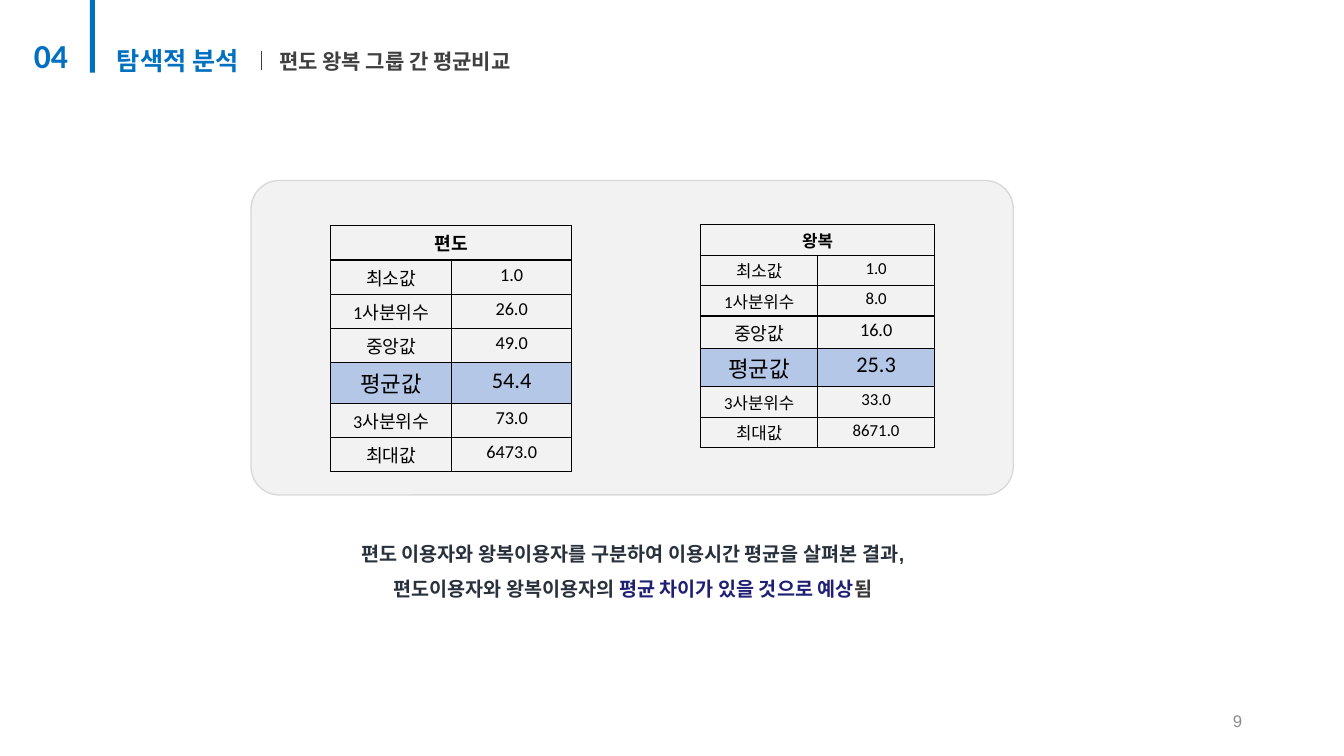
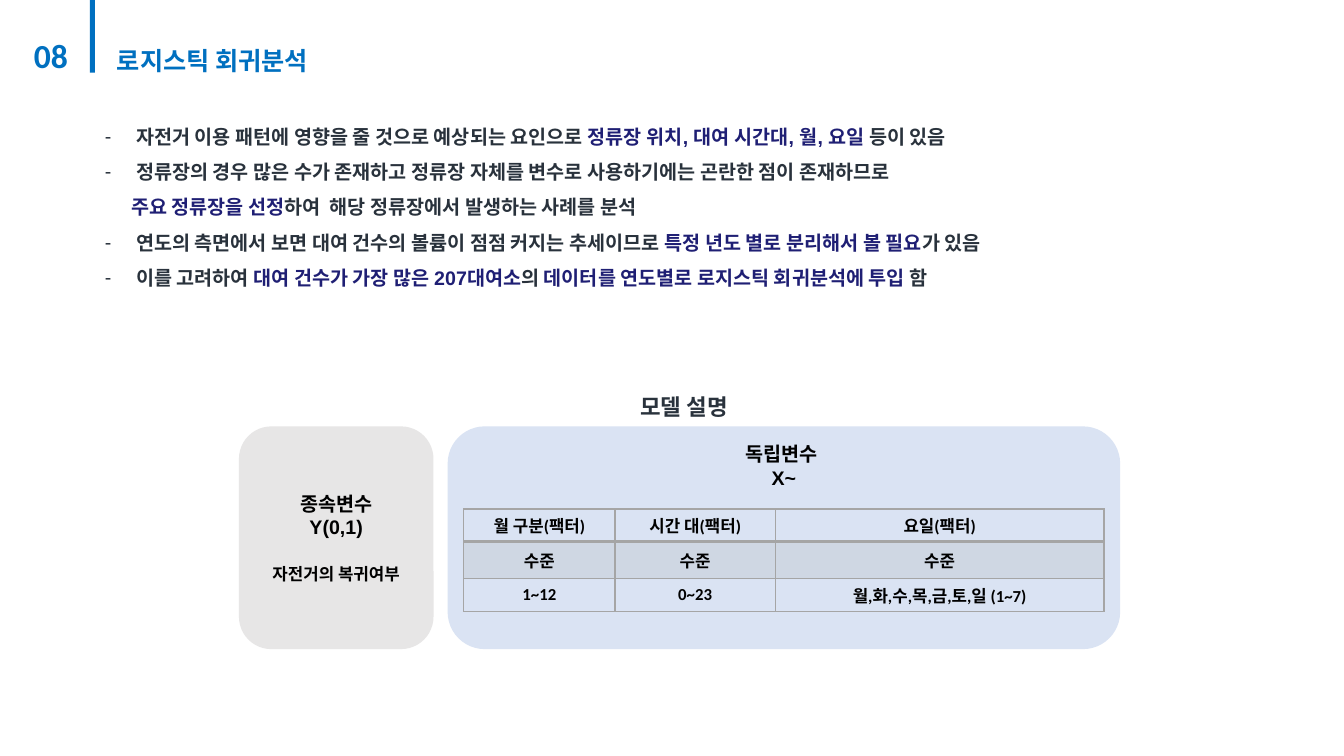
"""Build two slides of a bike rental analysis."""
import dataclasses
import lxml.etree
import pptx
import pptx.dml.color
import pptx.enum.shapes
import pptx.enum.text
import pptx.oxml.ns
import pptx.util

PX = 9144
ALIGN = pptx.enum.text.PP_ALIGN
ANCHOR = pptx.enum.text.MSO_ANCHOR
SHAPE = pptx.enum.shapes.MSO_SHAPE
MID = {"alignment": ALIGN.CENTER}
AIRY = {"line_spacing": 1.5, "space_before": pptx.util.Pt(0)}


@dataclasses.dataclass(frozen=True)
class Theme:
    blue: str = "0070C0"
    ink: str = "29323C"
    navy: str = "1F1F74"
    brown: str = "3B3838"
    black: str = "000000"
    slate: str = "404040"
    dim: str = "8C8C8C"
    panel: str = "F2F2F2"
    edge: str = "D9D9D9"
    mean: str = "B4C7E7"
    gray: str = "E7E6E6"
    sky: str = "DAE3F3"
    rule: str = "A5A5A5"
    level: str = "CFD7E3"
    head: int = 24
    title: int = 18
    model: int = 16
    sub: int = 15
    body: int = 14
    small: int = 12


THEME = Theme()


def px(*nums):
    """Turn px lengths into EMU."""
    return [pptx.util.Emu(num * PX) for num in nums]


def rgb(code):
    """Turn a hex code into a colour."""
    return pptx.dml.color.RGBColor.from_string(code)


def look(size, color, name="Arial", bold=True):
    """Collect the format values of a run."""
    return {"size": size, "color": color, "name": name, "bold": bold}


def apply(item, form):
    """Set attributes from a dict."""
    for key, value in form.items():
        setattr(item, key, value)


def write(frame, paras, style, form):
    """Write paragraphs of runs; a run is text or a pair of text and changes."""
    for num, runs in enumerate(paras):
        para = frame.add_paragraph() if num else frame.paragraphs[0]
        apply(para, form)
        for part in runs:
            text, change = (part, {}) if isinstance(part, str) else part
            run = para.add_run()
            run.text = text
            font = {**style, **change}
            run.font.color.rgb = rgb(font.pop("color"))
            font["size"] = pptx.util.Pt(font["size"])
            apply(run.font, font)


def setup(frame, anchor=ANCHOR.TOP):
    """Make a text frame wrap at a fixed size."""
    apply(frame, {"word_wrap": True, "vertical_anchor": anchor,
                  "auto_size": pptx.enum.text.MSO_AUTO_SIZE.NONE})
    return frame


def label(slide, box, paras, style, form, anchor=ANCHOR.TOP):
    """Add a text box."""
    frame = slide.shapes.add_textbox(*px(*box)).text_frame
    write(setup(frame, anchor), paras, style, form)


def block(slide, kind, box, fill, line=None):
    """Add a flat shape."""
    shape = slide.shapes.add_shape(kind, *px(*box))
    shape.shadow.inherit = False
    shape.fill.solid()
    shape.fill.fore_color.rgb = rgb(fill)
    if line:
        shape.line.color.rgb = rgb(line)
        shape.line.width = pptx.util.Pt(1)
    else:
        shape.line.fill.background()
    return shape


def hold(item, box):
    """Move a placeholder and ready its text."""
    apply(item, dict(zip(("left", "top", "width", "height"), px(*box))))
    return setup(item.text_frame)


def header(slide, num, title, wide):
    """Add the section number, blue bar and title."""
    block(slide, SHAPE.RECTANGLE, (89, 0, 5, 72), THEME.blue)
    label(slide, (7, 30, 87, 50), [[num]],
          look(THEME.head, THEME.blue, "Calibri"), MID)
    frame = hold(slide.shapes.title, (106, 40, wide, 40))
    write(frame, [[title]], look(THEME.title, THEME.blue, "Calibri"),
          {"alignment": ALIGN.LEFT})


def border(cell, color, under):
    """Draw the four borders of a cell."""
    props = cell._tc.get_or_add_tcPr()
    for side in "LRTB":
        width = pptx.util.Pt(under if side == "B" else 1)
        line = lxml.etree.SubElement(
            props, pptx.oxml.ns.qn("a:ln" + side), w=str(width))
        fill = lxml.etree.SubElement(line, pptx.oxml.ns.qn("a:solidFill"))
        lxml.etree.SubElement(fill, pptx.oxml.ns.qn("a:srgbClr"), val=color)


def grid(slide, spot, cols, tall, data, styles, tints, color, pad,
         anchor=ANCHOR.TOP, under=1):
    """Add a table with a style for each row and tints for some."""
    box = (*spot, sum(cols), sum(tall))
    table = slide.shapes.add_table(len(tall), len(cols), *px(*box)).table
    apply(table, {"first_row": False, "horz_banding": False})
    for col, wide in zip(table.columns, px(*cols)):
        col.width = wide
    sides = ("margin_left", "margin_right", "margin_top", "margin_bottom")
    form = {**dict(zip(sides, px(*pad))), "vertical_anchor": anchor}
    for num, row in enumerate(table.rows):
        row.height = px(tall[num])[0]
        for cell in row.cells:
            apply(cell, form)
            border(cell, color, 1 if num else under)
            if num in tints:
                cell.fill.solid()
                cell.fill.fore_color.rgb = rgb(tints[num])
            else:
                cell.fill.background()
        for cell, text in zip(row.cells, data[num]):
            write(cell.text_frame, [[text]], styles[num], MID)
    return table


def stats(slide, spot, cols, step, name, nums, sizes, gap):
    """Add a table of summary values under a merged name."""
    names = ["최소값", "1사분위수", "중앙값", "평균값", "3사분위수", "최대값"]
    styles = [look(size, THEME.black, "Calibri", num == 0)
              for num, size in enumerate(sizes)]
    table = grid(slide, spot, cols, [step] * len(sizes),
                 [[name], *zip(names, nums)], styles, {4: THEME.mean},
                 THEME.black, (7, 7, gap, gap))
    table.cell(0, 0).merge(table.cell(0, 1))


def bullet(para, mark):
    """Give a paragraph a dash, or an indent alone."""
    props = para._p.get_or_add_pPr()
    left, hang = px(31, -31) if mark else px(26, 0)
    props.set("marL", str(left))
    props.set("indent", str(hang))
    tag = "a:buChar" if mark else "a:buNone"
    item = lxml.etree.SubElement(props, pptx.oxml.ns.qn(tag))
    if mark:
        item.set("char", mark)


def compare(deck):
    """Build the slide that compares one-way and round trips."""
    slide = deck.slides.add_slide(deck.slide_layouts[5])
    header(slide, "04", "탐색적 분석", 160)
    label(slide, (267, 43, 269, 35), [["편도 왕복 그룹 간 평균비교"]],
          look(THEME.sub, THEME.slate, "Calibri"), {})
    line = slide.shapes.add_connector(
        pptx.enum.shapes.MSO_CONNECTOR.STRAIGHT, *px(259, 51, 259, 69))
    line.line.color.rgb = rgb(THEME.slate)
    line.line.width = pptx.util.Pt(0.5)
    lxml.etree.SubElement(line._element.spPr, pptx.oxml.ns.qn("a:effectLst"))
    panel = block(slide, SHAPE.ROUNDED_RECTANGLE, (249, 179, 756, 312),
                  THEME.panel, THEME.edge)
    panel.adjustments[0] = 0.09
    stats(slide, (328, 224), (120, 119), 29, "편도",
          ["1.0", "26.0", "49.0", "54.4", "73.0", "6473.0"],
          [13, 13, 13, 13, 16, 13, 13], 4)
    stats(slide, (695, 223), (116, 116), 28, "왕복",
          ["1.0", "8.0", "16.0", "25.3", "33.0", "8671.0"],
          [12, 12, 12, 13, 16, 12, 12], 3)
    label(slide, (260, 521, 735, 76), [
        ["편도 이용자와 왕복이용자를 구분하여 이용시간 평균을 살펴본 결과,"],
        ["편도이용자와 왕복이용자의 ",
         ("평균 차이가 있을 것으로 예상", {"color": THEME.navy}),
         ("됨", {"color": THEME.brown})],
    ], look(THEME.body, THEME.ink), {**MID, **AIRY})
    label(slide, (942, 695, 300, 40), [["9"]],
          look(THEME.small, THEME.dim, bold=False),
          {"alignment": ALIGN.RIGHT}, ANCHOR.MIDDLE)


def model(deck):
    """Build the slide that explains the regression."""
    slide = deck.slides.add_slide(deck.slide_layouts[1])
    header(slide, "08", "로지스틱 회귀분석", 272)
    key = {"color": THEME.navy}
    frame = hold(slide.placeholders[1], (94, 107, 1119, 187))
    write(frame, [
        ["자전거 이용 패턴에 영향을 줄 것으로 예상되는 요인으로 ",
         ("정류장 위치, 대여 시간대, 월, 요일", key), " 등이 있음"],
        ["정류장의 경우 많은 수가 존재하고 정류장 자체를 변수로 "
         "사용하기에는 곤란한 점이 존재하므로"],
        [("주요 정류장을 선정", key),
         "하여  해당 정류장에서 발생하는 사례를 분석"],
        ["연도의 측면에서 보면 대여 건수의 볼륨이 점점 커지는 추세이므로 ",
         ("특정 년도 별로 분리해서 볼 필요", key), "가 있음"],
        ["이를 고려하여 ", ("대여 건수가 가장 많은 207대여소", key), "의 ",
         ("데이터를 연도별로 로지스틱 회귀분석에 투입", key), " 함"],
    ], look(THEME.body, THEME.ink), AIRY)
    for para, mark in zip(frame.paragraphs, ("-", "-", "", "-", "-")):
        bullet(para, mark)

    label(slide, (245, 372, 867, 45), [["모델 설명"]],
          look(THEME.model, THEME.ink), {**MID, **AIRY})
    style = look(THEME.body, THEME.black)
    left = block(slide, SHAPE.ROUNDED_RECTANGLE, (237, 423, 193, 221),
                 THEME.gray)
    frame = setup(left.text_frame, ANCHOR.MIDDLE)
    write(frame, [["종속변수"], ["Y(0,1)"],
                  [("자전거의 복귀여부", {"size": THEME.small})]], style, MID)
    frame.paragraphs[2].space_before = pptx.util.Pt(18)
    right = block(slide, SHAPE.ROUNDED_RECTANGLE, (444, 423, 667, 221),
                  THEME.sky)
    write(setup(right.text_frame), [["독립변수 "], ["X~"]], style, MID)
    grid(slide, (460, 505), (150, 159, 326), (32, 37, 32), [
        ["월 구분(팩터)", "시간 대(팩터)", "요일(팩터)"],
        ["수준"] * 3,
        ["1~12", "0~23", "월,화,수,목,금,토,일 (1~7)"],
    ], [look(THEME.small, THEME.black, "Calibri")] * 3, {1: THEME.level},
        THEME.rule, (9, 9, 4, 4), ANCHOR.MIDDLE, 2)


def main():
    """Build and save the deck."""
    deck = pptx.Presentation()
    deck.slide_width, deck.slide_height = px(1333, 750)
    compare(deck)
    model(deck)
    deck.save("out.pptx")


if __name__ == "__main__":
    main()
